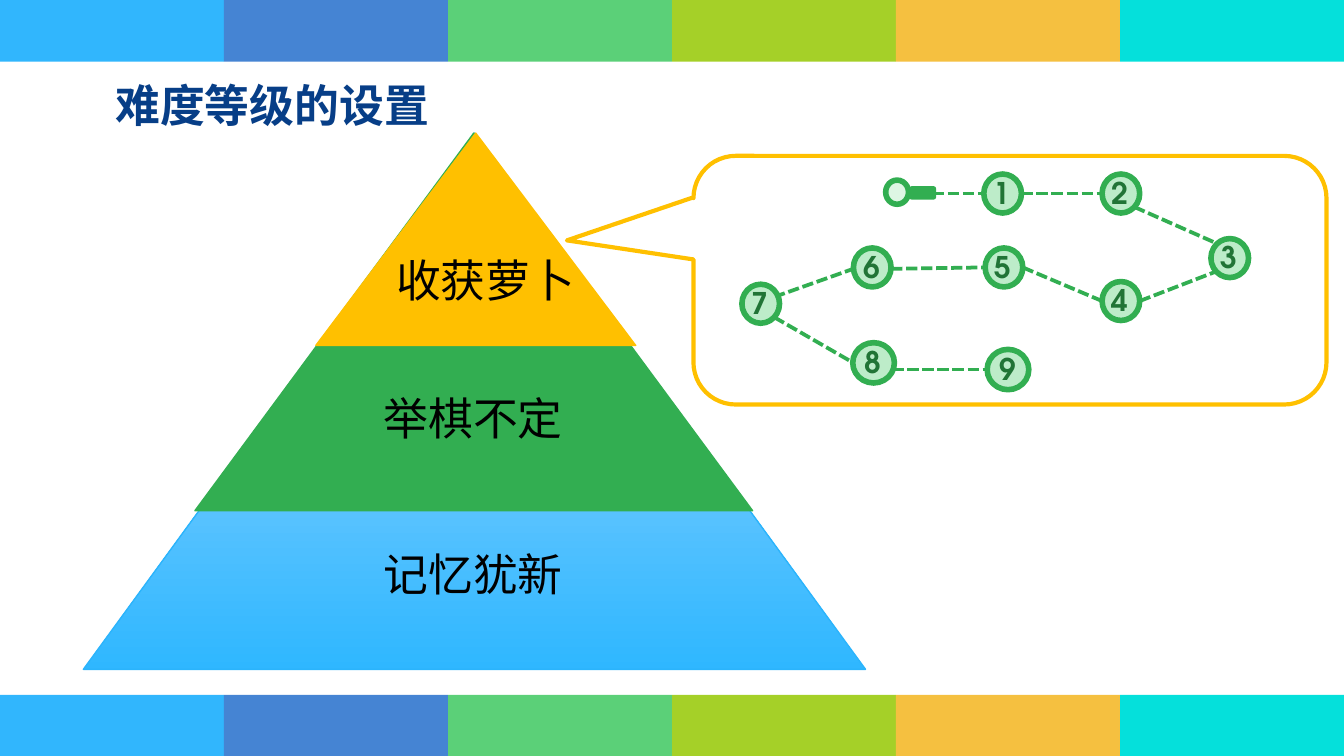
from dataclasses import dataclass

from lxml import etree
from pptx import Presentation
from pptx.dml.color import RGBColor
from pptx.enum.dml import MSO_LINE
from pptx.enum.shapes import MSO_CONNECTOR, MSO_SHAPE
from pptx.enum.text import MSO_AUTO_SIZE, PP_ALIGN
from pptx.oxml.ns import qn
from pptx.util import Inches, Pt

RECTANGLE = MSO_SHAPE.RECTANGLE
ROUNDED = MSO_SHAPE.ROUNDED_RECTANGLE
TRIANGLE = MSO_SHAPE.ISOSCELES_TRIANGLE
OVAL = MSO_SHAPE.OVAL
CALLOUT = MSO_SHAPE.ROUNDED_RECTANGULAR_CALLOUT
STRAIGHT = MSO_CONNECTOR.STRAIGHT
DASH = MSO_LINE.SQUARE_DOT
LEFT, CENTER = PP_ALIGN.LEFT, PP_ALIGN.CENTER


@dataclass(frozen=True)
class Theme:
    """Colours, fonts and type sizes of the slide."""
    bands: tuple = ("31B6FD", "4584D3", "5BD078", "A5D028", "F5C040", "05E0DB")
    title: str = "073E87"
    text: str = "000000"
    number: str = "217436"
    green: str = "32AE51"
    node: str = "BDECC9"
    start: str = "DEF6E4"
    gold: str = "FFC000"
    base_line: str = "2BB4FC"
    base_gradient: tuple = ("2FB7FF", "BDDEFF")
    cjk_font: str = "Noto Sans CJK SC"
    latin_font: str = "TeX Gyre Adventor"
    large: int = 24
    small: int = 16


THEME = Theme()


def rgb(color):
    """Turn a hex string into a colour."""
    return RGBColor.from_string(color)


def add_shape(slide, kind, box, fill=None, line=None, line_width=0.75):
    """Add a preset shape; without a colour, its fill or line is left empty."""
    shape = slide.shapes.add_shape(kind, *map(Inches, box))
    shape.shadow.inherit = False
    if fill:
        shape.fill.solid()
        shape.fill.fore_color.rgb = rgb(fill)
    else:
        shape.fill.background()
    if line:
        shape.line.color.rgb = rgb(line)
        shape.line.width = Pt(line_width)
    else:
        shape.line.fill.background()
    return shape


def add_text(slide, box, text, size, color, font, bold=False, align=LEFT, wrap=True):
    """Add a text box holding one paragraph."""
    frame = slide.shapes.add_textbox(*map(Inches, box)).text_frame
    frame.word_wrap = wrap
    frame.auto_size = MSO_AUTO_SIZE.SHAPE_TO_FIT_TEXT
    paragraph = frame.paragraphs[0]
    paragraph.text = text
    paragraph.alignment = align
    paragraph.font.size = Pt(size)
    paragraph.font.bold = bold
    paragraph.font.color.rgb = rgb(color)
    paragraph.font.name = font
    properties = paragraph._p.pPr.find(qn("a:defRPr"))
    etree.SubElement(properties, qn("a:ea")).set("typeface", THEME.cjk_font)


def add_link(slide, start, end):
    """Add a dashed green line between two points."""
    link = slide.shapes.add_connector(STRAIGHT, *map(Inches, (*start, *end)))
    link.line.color.rgb = rgb(THEME.green)
    link.line.width = Pt(2)
    link.line.dash_style = DASH
    etree.SubElement(link._element.spPr, qn("a:effectLst"))


def add_band(slide, box):
    """Fill the box with a row of equal colour blocks."""
    left, top, width, height = box
    step = width / len(THEME.bands)
    for index, color in enumerate(THEME.bands):
        add_shape(slide, RECTANGLE, (left + index * step, top, step, height), color)


def add_title(slide, box):
    """Add the slide title."""
    add_text(slide, box, "难度等级的设置", THEME.large, THEME.title, THEME.cjk_font, bold=True)


def add_pyramid(slide, box):
    """Stack three triangles, then label the levels."""
    left, top, width, height = box
    tiers = (
        (0, width, height, THEME.base_gradient[0], THEME.base_line),
        (0.83, 4.15, 2.81, THEME.green, THEME.green),
        (1.73, 2.38, 1.58, THEME.gold, THEME.gold),
    )
    triangles = [
        add_shape(slide, TRIANGLE, (left + x, top, tier_width, tier_height), fill, line)
        for x, tier_width, tier_height, fill, line in tiers
    ]
    base_fill = triangles[0].fill
    base_fill.gradient()
    base_fill.gradient_angle = 90
    for stop, position, color in zip(base_fill.gradient_stops, (0, 1), THEME.base_gradient):
        stop.position = position
        stop.color.rgb = rgb(color)
    labels = (
        ("记忆犹新", 1.83, 3.03, 2.14),
        ("举棋不定", 1.83, 1.87, 2.14),
        ("收获萝卜", 2.16, 0.84, 1.67),
    )
    for text, x, y, label_width in labels:
        add_text(slide, (left + x, top + y, label_width, 0.5), text,
                 THEME.large, THEME.text, THEME.latin_font, align=CENTER)


def add_trail(slide, box):
    """Draw the callout with a trail of numbered stops."""
    left, top, _, _ = box
    links = (
        ((1.78, 0.28), (2.16, 0.28)),
        ((2.44, 0.28), (3.03, 0.28)),
        ((3.28, 0.38), (3.89, 0.65)),
        ((3.32, 1.08), (3.89, 0.86)),
        ((2.45, 0.83), (3.04, 1.08)),
        ((1.47, 0.84), (2.17, 0.83)),
        ((0.6, 1.05), (1.19, 0.84)),
        ((0.6, 1.2), (1.19, 1.54)),
        ((1.48, 1.59), (2.18, 1.59)),
    )
    for start, end in links:
        add_link(slide, *((left + x, top + y) for x, y in (start, end)))
    add_shape(slide, OVAL, (left + 1.43, top + 0.18, 0.17, 0.18), THEME.start, THEME.green, 3)
    add_shape(slide, ROUNDED, (left + 1.61, top + 0.23, 0.19, 0.09), THEME.green, THEME.green)

    small, big = (0.28, 0.29), (0.31, 0.3)
    stops = (
        (2.3, 0.28, small), (3.18, 0.28, small), (3.99, 0.76, small),
        (3.18, 1.08, small), (2.31, 0.83, small), (1.33, 0.83, small),
        (0.5, 1.1, small), (1.34, 1.54, big), (2.34, 1.59, big),
    )
    for x, y, (width, height) in stops:
        add_shape(slide, OVAL, (left + x - width / 2, top + y - height / 2, width, height),
                  THEME.node, THEME.green, 3)
    callout = add_shape(slide, CALLOUT, box, line=THEME.gold, line_width=2.25)
    for index, value in enumerate((-0.7, -0.16, 0.17)):
        callout.adjustments[index] = value
    for number, (x, y, _) in enumerate(stops, start=1):
        add_text(slide, (left + x - 0.165, top + y - 0.19, 0.33, 0.37), str(number),
                 THEME.small, THEME.number, THEME.latin_font, bold=True, wrap=False)


def main():
    """Build the slide and save it."""
    presentation = Presentation()
    presentation.slide_width = Inches(10)
    presentation.slide_height = Inches(10 * 9 / 16)
    slide = presentation.slides.add_slide(presentation.slide_layouts[6])
    add_band(slide, (0, 0, 10, 0.46))
    add_band(slide, (0, 5.17, 10, 0.46))
    add_title(slide, (0.76, 0.53, 3.33, 0.5))
    add_pyramid(slide, (0.62, 0.99, 5.82, 3.99))
    add_trail(slide, (5.16, 1.16, 4.71, 1.85))
    presentation.save("out.pptx")


if __name__ == "__main__":
    main()
